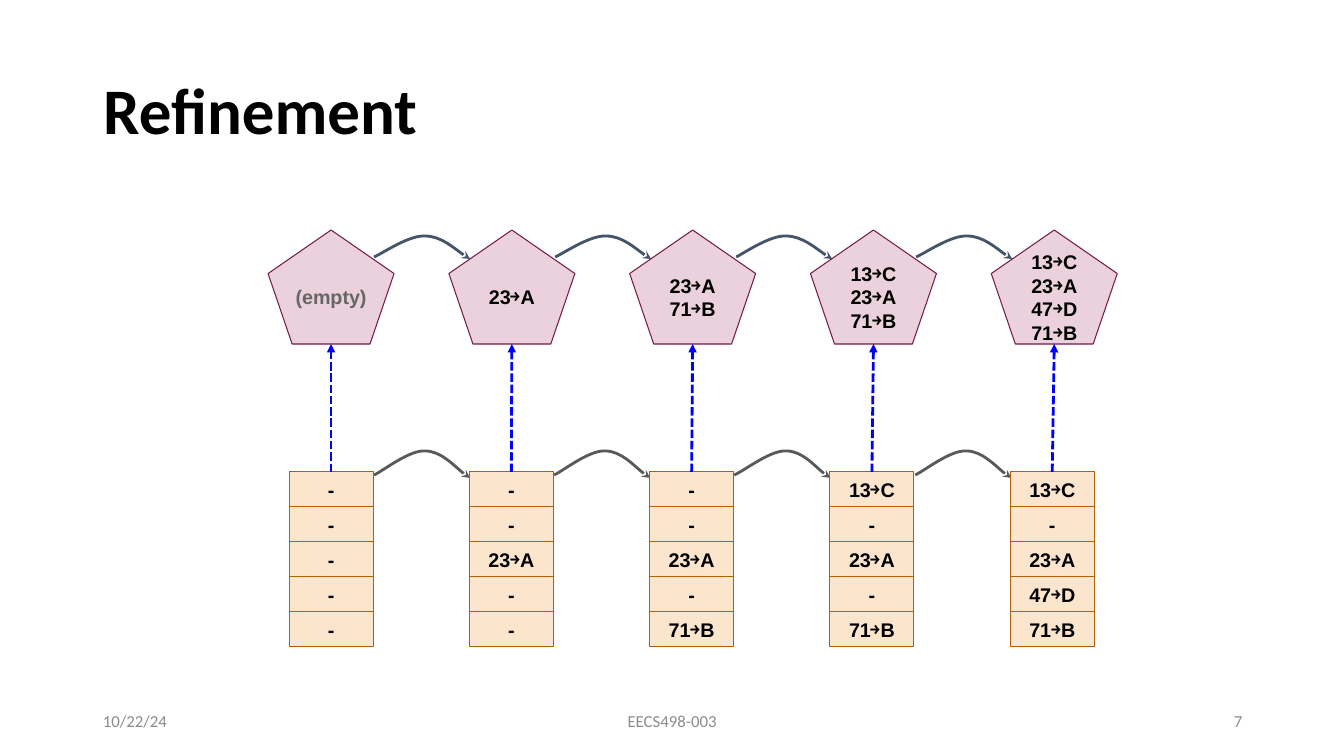
from pptx import Presentation
from pptx.dml.color import RGBColor
from pptx.enum.dml import MSO_LINE_DASH_STYLE as Dash
from pptx.enum.shapes import MSO_CONNECTOR, MSO_SHAPE
from pptx.enum.text import MSO_ANCHOR, MSO_AUTO_SIZE, PP_ALIGN as Align
from pptx.oxml.ns import qn
from pptx.util import Inches, Pt
from lxml.etree import SubElement

# Content: abstract state above, concrete table slots below
TITLE = "Refinement"
EMPTY = "(empty)"
STATES = [
    ([EMPTY], ["-", "-", "-", "-", "-"]),
    (["23￫A"], ["-", "-", "23￫A", "-", "-"]),
    (["23￫A", "71￫B"], ["-", "-", "23￫A", "-", "71￫B"]),
    (["13￫C", "23￫A", "71￫B"], ["13￫C", "-", "23￫A", "-", "71￫B"]),
    (["13￫C", "23￫A", "47￫D", "71￫B"],
     ["13￫C", "-", "23￫A", "47￫D", "71￫B"]),
]
FOOTERS = [  # text, left, width, alignment
    ("10/22/24", 93, 302, Align.LEFT),
    ("EECS498-003", 445, 454, Align.CENTER),
    ("7", 950, 302, Align.RIGHT),
]

# Geometry in px
PX = 914400 / 100.8
PENTAGON_LEFT, PENTAGON_TOP, PENTAGON_W, PENTAGON_H = 268, 230, 126, 114
PENTAGON_SPAN = 723
SLOT_LEFT, SLOT_TOP, SLOT_W, SLOT_H = 289, 472, 84, 35
SLOT_SPAN = 721
# Step curves: start point, then two Bezier segments of three points each
UPPER_STEP = [(106, 27), (115, 23), (141, 5), (157, 6),
              (173, 6), (194, 25), (202, 29)]
LOWER_STEP = [(85, 3), (94, -1), (120, -22), (136, -21),
              (152, -21), (173, 2), (181, 6)]


def emu(px):
    return round(px * PX)


def color(hex_code):
    return RGBColor.from_string(hex_code)


def write(shape, lines, size=14.1, font="Arial", ink="000000", bold=True,
          align=Align.CENTER, margins=None, spacing=None):
    frame = shape.text_frame
    frame.word_wrap = True
    frame.auto_size = MSO_AUTO_SIZE.NONE
    frame.vertical_anchor = MSO_ANCHOR.MIDDLE
    if margins:
        (frame.margin_left, frame.margin_top,
         frame.margin_right, frame.margin_bottom) = map(emu, margins)
    frame.text = "\n".join(lines)
    for paragraph in frame.paragraphs:
        paragraph.alignment = align
        paragraph.line_spacing = spacing
        for run in paragraph.runs:
            run.font.size, run.font.name, run.font.bold = Pt(size), font, bold
            run.font.color.rgb = color(ink)


def add_box(kind, left, top, width, height, fill, edge):
    box = slide.shapes.add_shape(kind, emu(left), emu(top), emu(width), emu(height))
    box.shadow.inherit = False
    box.fill.solid()
    box.fill.fore_color.rgb = color(fill)
    box.line.color.rgb = color(edge)
    box.line.width = Pt(0.75)
    return box


def style_arrow(arrow, ink, head, dash=None):
    arrow.line.color.rgb = color(ink)
    arrow.line.width = Pt(2)
    if dash:
        arrow.line.dash_style = dash
    SubElement(arrow.line._get_or_add_ln(), qn("a:tailEnd"), type=head)


def add_step(left, top, curve, ink):
    start, *rest = [(left + x, top + y) for x, y in curve]
    builder = slide.shapes.build_freeform(*start, scale=PX)
    builder.add_line_segments(rest, close=False)
    step = builder.convert_to_shape()
    step.shadow.inherit = False
    step.fill.background()
    style_arrow(step, ink, "stealth")
    # Merge each three line points into one cubic segment
    segments = list(step._element.iter(qn("a:lnTo")))
    outline = segments[0].getparent()
    for i in range(0, len(segments), 3):
        bezier = SubElement(outline, qn("a:cubicBezTo"))
        for segment in segments[i:i + 3]:
            bezier.append(segment[0])
            outline.remove(segment)


prs = Presentation()
prs.slide_width, prs.slide_height = Inches(13.33), Inches(7.5)
slide = prs.slides.add_slide(prs.slide_layouts[5])

# Title
title = slide.shapes.title
title.left, title.top, title.width, title.height = map(emu, (93, 40, 1159, 146))
write(title, [TITLE], size=46.4, font="Calibri", align=Align.LEFT, spacing=0.9)

last = len(STATES) - 1
for i, (mapping, slots) in enumerate(STATES):
    pentagon_left = PENTAGON_LEFT + i * PENTAGON_SPAN / last
    slot_left = SLOT_LEFT + i * SLOT_SPAN / last

    # Abstract map
    pentagon = add_box(MSO_SHAPE.REGULAR_PENTAGON, pentagon_left, PENTAGON_TOP,
                       PENTAGON_W, PENTAGON_H, "EAD1DC", "741B47")
    is_empty = mapping == [EMPTY]
    side = 0 if is_empty else 7
    write(pentagon, mapping, ink="666666" if is_empty else "000000",
          margins=(side, 7, side, 14))

    # Concrete table
    cells = []
    for row, entry in enumerate(slots):
        cell = add_box(MSO_SHAPE.RECTANGLE, slot_left, SLOT_TOP + row * SLOT_H,
                       SLOT_W, SLOT_H, "FCE5CD", "B45F06")
        write(cell, [entry], margins=(0, 0, 0, 0))
        cells.append(cell)

    # Dashed refinement arrow from table to map
    center = emu(pentagon_left + PENTAGON_W / 2)
    refinement = slide.shapes.add_connector(
        MSO_CONNECTOR.STRAIGHT, center, emu(SLOT_TOP),
        center, emu(PENTAGON_TOP + PENTAGON_H))
    refinement.begin_connect(cells[0], 0)
    style_arrow(refinement, "0000FF", "triangle", Dash.SQUARE_DOT)
    SubElement(refinement._element.spPr, qn("a:effectLst"))

    # Steps to the next state
    if i < last:
        add_step(pentagon_left, PENTAGON_TOP, UPPER_STEP, "44546A")
        add_step(slot_left, SLOT_TOP, LOWER_STEP, "595959")

# Footer
for text, left, width, align in FOOTERS:
    footer = slide.shapes.add_textbox(emu(left), emu(701), emu(width), emu(40))
    write(footer, [text], size=12, font="Calibri", ink="8C8C8C",
          bold=False, align=align)

prs.save("out.pptx")
